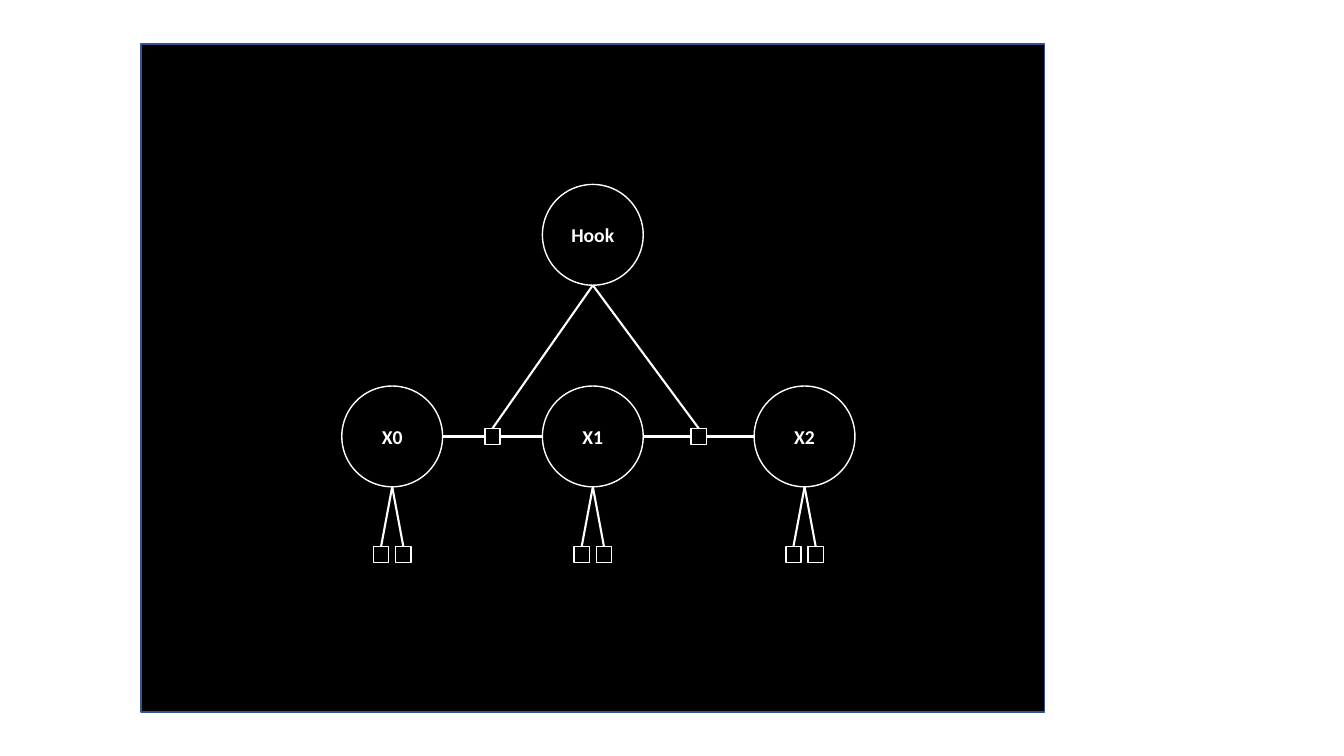
"""Build a factor graph slide: a hook node above a chain of three variables."""
from lxml import etree
from pptx import Presentation
from pptx.dml.color import RGBColor
from pptx.enum.shapes import MSO_CONNECTOR, MSO_SHAPE
from pptx.enum.text import MSO_ANCHOR, PP_ALIGN
from pptx.oxml.ns import qn
from pptx.util import Inches, Pt

RECTANGLE, OVAL = MSO_SHAPE.RECTANGLE, MSO_SHAPE.OVAL
STRAIGHT = MSO_CONNECTOR.STRAIGHT
MIDDLE, CENTER = MSO_ANCHOR.MIDDLE, PP_ALIGN.CENTER

WHITE, BLACK, BORDER = "FFFFFF", "000000", "325491"
LABEL_FORMAT = {"name": "Calibri", "size": Pt(14), "bold": True}

NODE_SIZE = (1, 1)
FACTOR_SIZE = (0.15, 0.16)
RADIUS = NODE_SIZE[0] / 2
HALF_WIDTH, HALF_HEIGHT = (side / 2 for side in FACTOR_SIZE)
COLUMNS = {"X0": 3.89, "X1": 5.88, "X2": 7.98}
HOOK_ROW, CHAIN_ROW, LEAF_ROW = 2.33, 4.33, 5.5
LEAF_OFFSET = 0.11

presentation = Presentation()
presentation.slide_width, presentation.slide_height = Inches(13.33), Inches(7.5)
slide = presentation.slides.add_slide(presentation.slide_layouts[6])


def add_box(kind, center, size, text="", fill=None, line=WHITE):
    (x, y), (width, height) = center, size
    shape = slide.shapes.add_shape(kind, Inches(x - width / 2), Inches(y - height / 2),
                                   Inches(width), Inches(height))
    shape.shadow.inherit = False
    if fill:
        shape.fill.solid()
        shape.fill.fore_color.rgb = RGBColor.from_string(fill)
    else:
        shape.fill.background()
    shape.line.color.rgb = RGBColor.from_string(line)
    shape.line.width = Pt(1)
    if text:
        shape.text_frame.vertical_anchor = MIDDLE
        paragraph = shape.text_frame.paragraphs[0]
        paragraph.alignment = CENTER
        run = paragraph.add_run()
        run.text = text
        for attribute, value in LABEL_FORMAT.items():
            setattr(run.font, attribute, value)
        run.font.color.rgb = RGBColor.from_string(WHITE)


def add_edge(start, end):
    connector = slide.shapes.add_connector(STRAIGHT, *map(Inches, start + end))
    connector.line.color.rgb = RGBColor.from_string(WHITE)
    connector.line.width = Pt(1.5)
    etree.SubElement(connector._element.spPr, qn("a:effectLst"))


add_box(RECTANGLE, (5.88, 3.75), (8.96, 6.63), fill=BLACK, line=BORDER)
hook_column = COLUMNS["X1"]
add_box(OVAL, (hook_column, HOOK_ROW), NODE_SIZE, "Hook")

for name, column in COLUMNS.items():
    add_box(OVAL, (column, CHAIN_ROW), NODE_SIZE, name)
    for leaf_column in (column - LEAF_OFFSET, column + LEAF_OFFSET):
        add_box(RECTANGLE, (leaf_column, LEAF_ROW), FACTOR_SIZE)
        add_edge((column, CHAIN_ROW + RADIUS), (leaf_column, LEAF_ROW - HALF_HEIGHT))

columns = list(COLUMNS.values())
for left, right in zip(columns, columns[1:]):
    middle = (left + right) / 2
    add_box(RECTANGLE, (middle, CHAIN_ROW), FACTOR_SIZE)
    add_edge((left + RADIUS, CHAIN_ROW), (middle - HALF_WIDTH, CHAIN_ROW))
    add_edge((middle + HALF_WIDTH, CHAIN_ROW), (right - RADIUS, CHAIN_ROW))
    add_edge((hook_column, HOOK_ROW + RADIUS), (middle, CHAIN_ROW - HALF_HEIGHT))

presentation.save("out.pptx")
